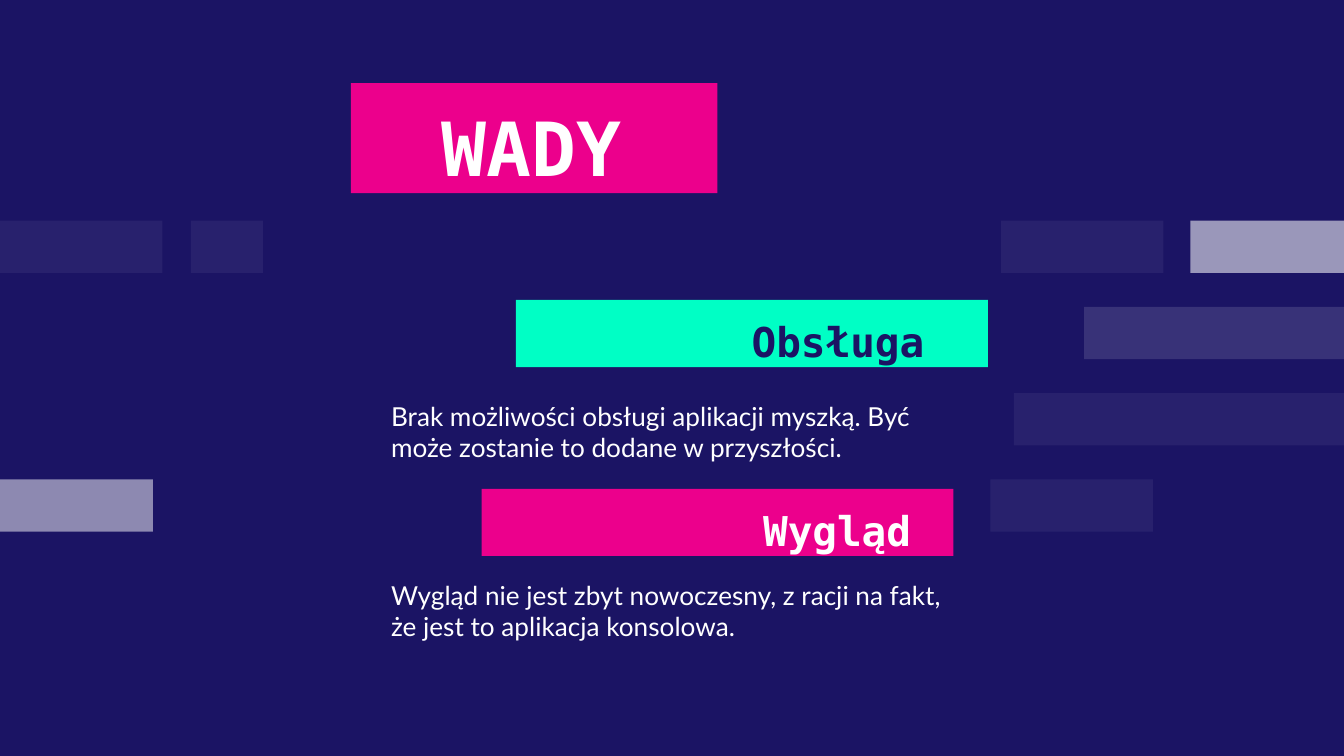
from lxml.etree import SubElement
from pptx import Presentation
from pptx.dml.color import RGBColor
from pptx.enum.shapes import MSO_SHAPE
from pptx.enum.text import MSO_ANCHOR, MSO_AUTO_SIZE, PP_ALIGN
from pptx.oxml.ns import qn
from pptx.util import Cm, Pt

COLORS = {"navy": "1B1464", "pink": "EC008C", "mint": "00FFC5", "white": "FFFFFF"}
MONO = "DejaVu Sans Mono"
WIDE = 25.4
BAR_TOP, BAR_STEP, BAR_HIGH = 4.17, 1.63, 0.99
BARS = [
    (0, 0, 3.07, 6),
    (0, 3.61, 1.36, 6),
    (0, 18.92, 3.07, 6),
    (0, 22.5, 2.9, 56),
    (1, 20.49, 4.91, 13),
    (2, 19.16, 6.24, 6),
    (3, 0, 2.89, 50),
    (3, 18.72, 3.07, 6),
]


def paint(fill, color):
    fill.solid()
    fill.fore_color.rgb = RGBColor.from_string(COLORS[color])


def add_bar(slide, row, left, width, alpha):
    bar = slide.shapes.add_shape(
        MSO_SHAPE.RECTANGLE, Cm(left), Cm(BAR_TOP + row * BAR_STEP), Cm(width), Cm(BAR_HIGH)
    )
    bar.shadow.inherit = False
    bar.line.fill.background()
    paint(bar.fill, "white")
    tint = bar.fill._xPr.find(qn("a:solidFill"))[0]
    SubElement(tint, qn("a:alpha"), val=str(alpha * 1000))


def set_text(shape, box, text, font, size, color, bold, align, pads):
    shape.left, shape.top, shape.width, shape.height = map(Cm, box)
    frame = shape.text_frame
    frame.text = text
    frame.word_wrap = True
    frame.auto_size = MSO_AUTO_SIZE.NONE
    frame.vertical_anchor = MSO_ANCHOR.TOP
    frame.margin_left, frame.margin_top, frame.margin_right = map(Cm, pads)
    frame.margin_bottom = 0
    para = frame.paragraphs[0]
    para.alignment = align
    para.space_before = Pt(0)
    para.line_spacing = 1.0
    props = para._p.get_or_add_pPr()
    props.set("marL", "0")
    props.set("indent", "0")
    SubElement(props, qn("a:buNone"))
    style = para.runs[0].font
    style.name, style.size, style.bold = font, Pt(size), bold
    style.color.rgb = RGBColor.from_string(COLORS[color])


def set_title(shape, text):
    paint(shape.fill, "pink")
    set_text(shape, (6.63, 1.57, 6.93, 2.08), text, MONO, 40, "white", True,
             PP_ALIGN.LEFT, (1.72, 0.35, 0))


def set_head(shape, left, top, text, fill, color, pad):
    paint(shape.fill, fill)
    set_text(shape, (left, top, 8.92, 1.27), text, MONO, 22, color, True,
             PP_ALIGN.RIGHT, (0.25, 0.32, pad))


def set_body(shape, top, text):
    set_text(shape, (7.14, top, 10.9, 1.27), text, "Lato", 14, "white", False,
             PP_ALIGN.LEFT, (0.25, 0, 0.25))


def main():
    deck = Presentation()
    deck.slide_width, deck.slide_height = Cm(WIDE), Cm(14.29)
    slide = deck.slides.add_slide(deck.slide_layouts[4])
    paint(slide.background.fill, "navy")
    for bar in BARS:
        add_bar(slide, *bar)
    title, head_one, body_one, head_two, body_two = list(slide.placeholders)
    set_title(title, "WADY")
    set_head(head_one, 9.75, 5.67, "Obsługa", "mint", "navy", 1.2)
    set_body(body_one, 7.57,
             "Brak możliwości obsługi aplikacji myszką. Być może zostanie to dodane w przyszłości.")
    set_head(head_two, 9.1, 9.24, "Wygląd", "pink", "white", 0.8)
    set_body(body_two, 10.95,
             "Wygląd nie jest zbyt nowoczesny, z racji na fakt, że jest to aplikacja konsolowa.")
    deck.save("out.pptx")


if __name__ == "__main__":
    main()
